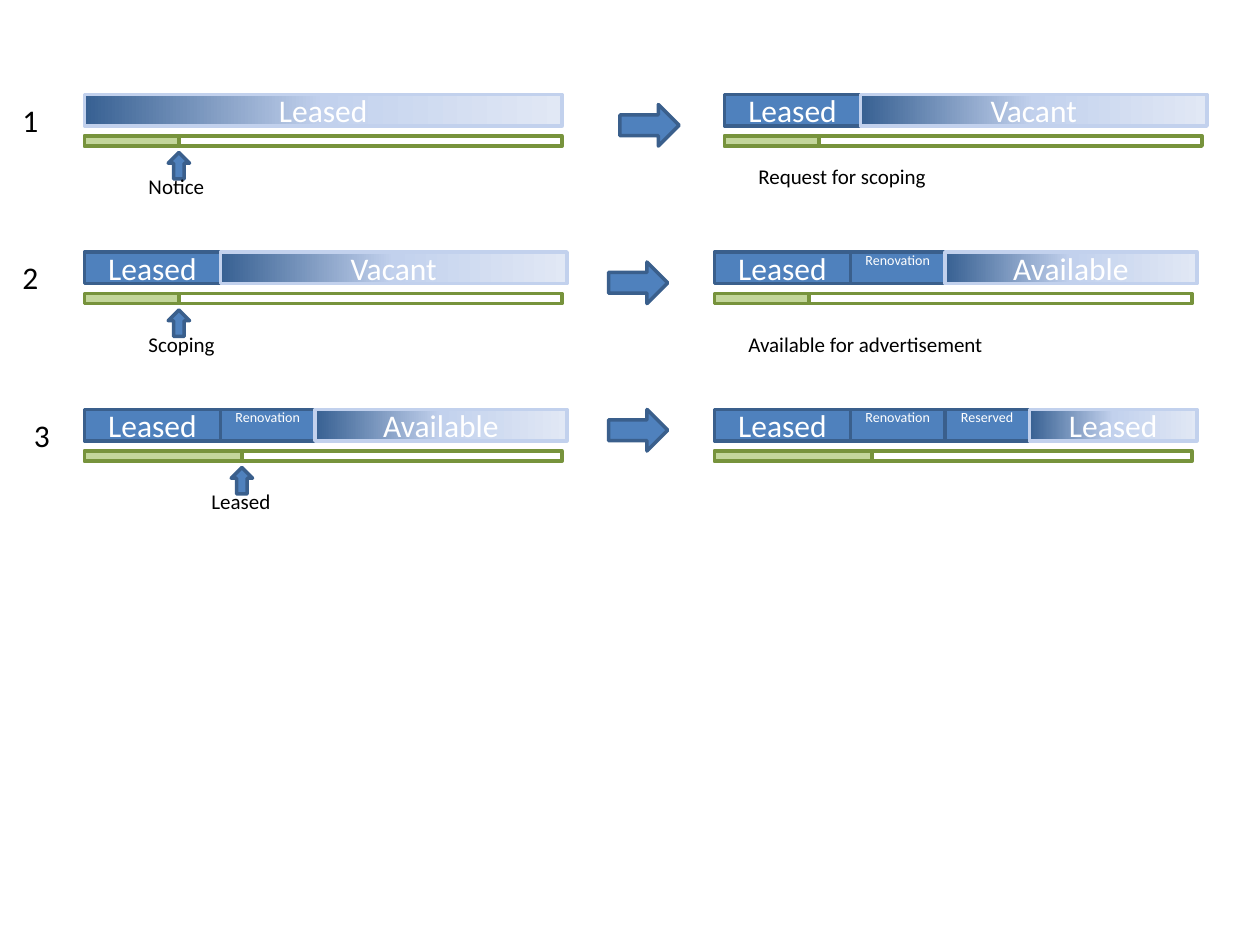
from copy import deepcopy

from pptx import Presentation
from pptx.dml.color import RGBColor
from pptx.enum.shapes import MSO_SHAPE
from pptx.enum.text import MSO_ANCHOR, PP_ALIGN
from pptx.oxml.ns import qn
from pptx.util import Inches, Pt

BLUE = RGBColor(0x4F, 0x81, 0xBD)
BLUE_EDGE = RGBColor(0x3A, 0x5F, 0x8C)
GREEN = RGBColor(0xC3, 0xD6, 0x9B)
GREEN_EDGE = RGBColor(0x77, 0x93, 0x3C)
OPEN_EDGE = RGBColor(0xC2, 0xD1, 0xED)
OPEN_STOPS = (RGBColor(0x37, 0x60, 0x92), OPEN_EDGE, RGBColor(0xE1, 0xE8, 0xF5))
WHITE = RGBColor(0xFF, 0xFF, 0xFF)
BLACK = RGBColor(0x00, 0x00, 0x00)

BAR_HEIGHT = 0.25
TRACK_TOP = 0.33
TRACK_WIDTH = 3.79
TRACK_HEIGHT = 0.08
LEFT_SIDE = 0.67
LEASED = ("Leased", 1.08, 18)
RENOVATION = ("Renovation", 0.75, 8)
RESERVED = ("Reserved", 0.67, 8)

STEPS = [
    {"number": "1", "number_left": 0.08, "top": 0.75, "progress": 0.75,
     "before": [("Leased", 3.79, 18)], "marker": "Notice",
     "arrow": (4.92, 0.83), "after_left": 5.75,
     "after": [LEASED, ("Vacant", 2.75, 18)],
     "note": ("Request for scoping", 1.25, 1.55)},
    {"number": "2", "number_left": 0.08, "top": 2, "progress": 0.75,
     "before": [LEASED, ("Vacant", 2.75, 18)], "marker": "Scoping",
     "arrow": (4.83, 2.08), "after_left": 5.67,
     "after": [LEASED, RENOVATION, ("Available", 2, 18)],
     "note": ("Available for advertisement", 2.58, 2.08)},
    {"number": "3", "number_left": 0.17, "top": 3.25, "progress": 1.25,
     "before": [LEASED, RENOVATION, ("Available", 2, 18)], "marker": "Leased",
     "arrow": (4.83, 3.25), "after_left": 5.67,
     "after": [LEASED, RENOVATION, RESERVED, ("Leased", 1.33, 18)],
     "note": None},
]


def format_text(text_frame, text, size, color):
    text_frame.text = text
    font = text_frame.paragraphs[0].runs[0].font
    font.name = "Calibri"
    font.size = Pt(size)
    font.color.rgb = color


def add_block(slide, kind, left, top, width, height, fill, edge):
    shape = slide.shapes.add_shape(
        kind, Inches(left), Inches(top), Inches(width), Inches(height))
    shape.shadow.inherit = False
    if fill is None:
        shape.fill.background()
    else:
        shape.fill.solid()
        shape.fill.fore_color.rgb = fill
    shape.line.color.rgb = edge
    shape.line.width = Pt(2)
    return shape


def apply_open_gradient(shape):
    shape.fill.gradient()
    shape.fill.gradient_angle = 0
    stop_list = shape._element.spPr.find(qn("a:gradFill")).find(qn("a:gsLst"))
    stop_list.insert(1, deepcopy(stop_list[0]))
    for index, (stop, color) in enumerate(zip(shape.fill.gradient_stops, OPEN_STOPS)):
        stop.position = index / 2
        stop.color.rgb = color


def add_label(slide, left, top, width, height, text, size, wrap):
    box = slide.shapes.add_textbox(
        Inches(left), Inches(top), Inches(width), Inches(height))
    box.text_frame.word_wrap = wrap
    format_text(box.text_frame, text, size, BLACK)


def add_timeline(slide, left, top, segments, progress):
    for width, fill in ((TRACK_WIDTH, None), (progress, GREEN)):
        add_block(slide, MSO_SHAPE.RECTANGLE, left, top + TRACK_TOP,
                  width, TRACK_HEIGHT, fill, GREEN_EDGE)
    for index, (text, width, size) in enumerate(segments):
        is_open = index == len(segments) - 1
        shape = add_block(slide, MSO_SHAPE.RECTANGLE, left, top, width, BAR_HEIGHT,
                          BLUE, OPEN_EDGE if is_open else BLUE_EDGE)
        if is_open:
            apply_open_gradient(shape)
        text_frame = shape.text_frame
        format_text(text_frame, text, size, WHITE)
        text_frame.vertical_anchor = MSO_ANCHOR.MIDDLE
        text_frame.paragraphs[0].alignment = PP_ALIGN.CENTER
        if size == 8:
            text_frame.margin_bottom = Inches(0.18)
        left += width


def add_marker(slide, center, top, text):
    add_block(slide, MSO_SHAPE.UP_ARROW, center - 0.085, top + 0.46,
              0.17, 0.21, BLUE, BLUE_EDGE)
    add_label(slide, center - 0.34, top + 0.58, 1.08, 0.3, text, 12, True)


def add_step(slide, step):
    top, progress = step["top"], step["progress"]
    add_label(slide, step["number_left"], top, 0.33, 0.4, step["number"], 18, False)
    add_timeline(slide, LEFT_SIDE, top, step["before"], progress)
    add_marker(slide, LEFT_SIDE + progress, top, step["marker"])
    add_block(slide, MSO_SHAPE.RIGHT_ARROW, *step["arrow"], 0.47, 0.33, BLUE, BLUE_EDGE)
    add_timeline(slide, step["after_left"], top, step["after"], progress)
    if step["note"]:
        text, note_top, width = step["note"]
        add_label(slide, step["after_left"] + 0.17, note_top, width, 0.3, text, 12, False)


def main():
    presentation = Presentation()
    presentation.slide_width = Inches(10)
    presentation.slide_height = Inches(7.5)
    slide = presentation.slides.add_slide(presentation.slide_layouts[6])
    for step in STEPS:
        add_step(slide, step)
    presentation.save("out.pptx")


if __name__ == "__main__":
    main()
